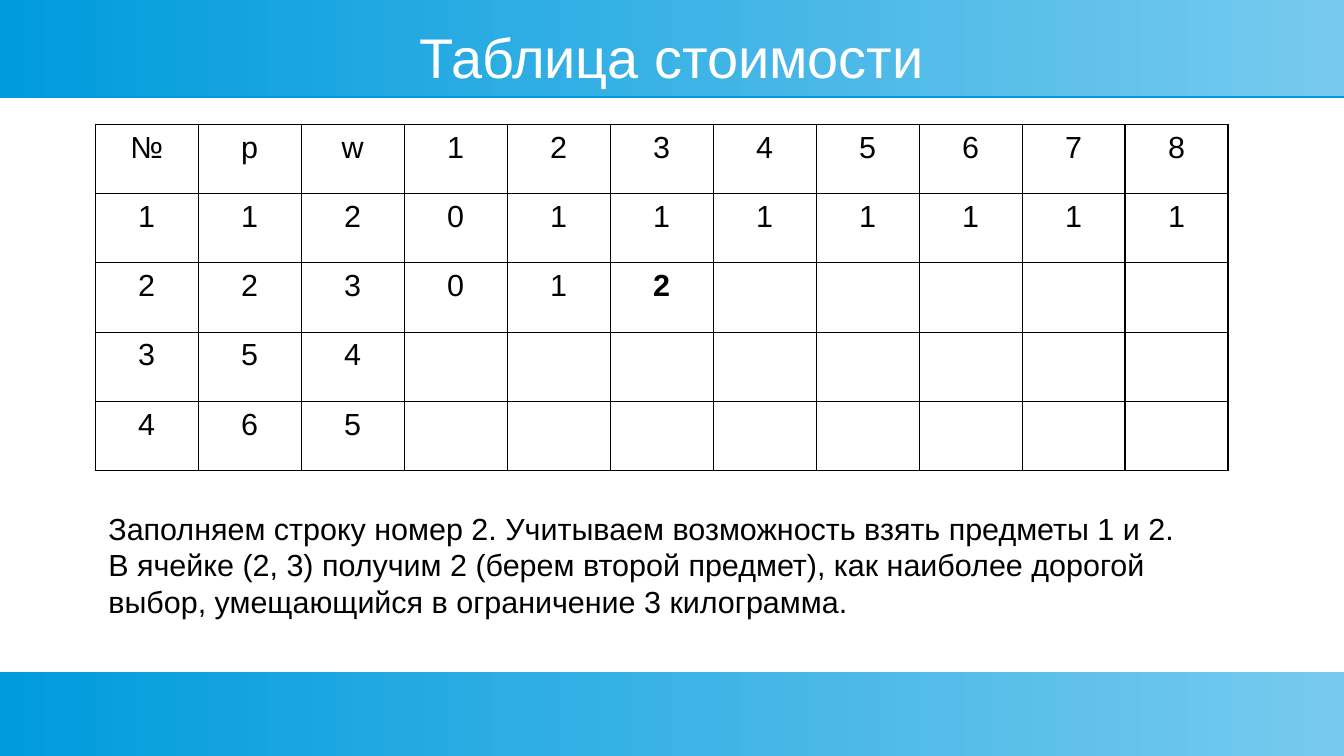
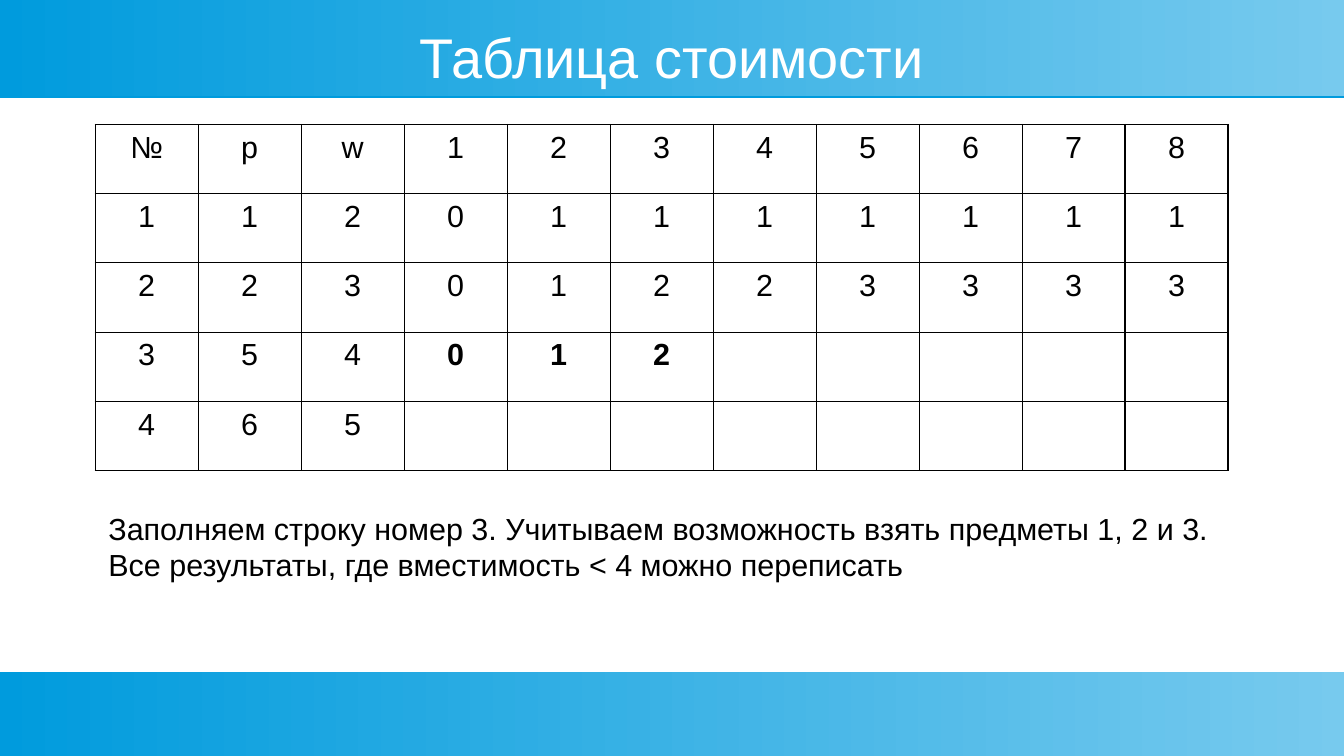
from lxml import etree
from pptx import Presentation
from pptx.dml.color import RGBColor
from pptx.enum.shapes import MSO_SHAPE
from pptx.enum.text import MSO_ANCHOR, PP_ALIGN
from pptx.oxml.ns import qn
from pptx.util import Inches, Pt

RECTANGLE = MSO_SHAPE.RECTANGLE
TOP, MIDDLE = MSO_ANCHOR.TOP, MSO_ANCHOR.MIDDLE
LEFT, CENTER = PP_ALIGN.LEFT, PP_ALIGN.CENTER

BLUE = RGBColor(0x00, 0x9B, 0xDD)
LIGHT_BLUE = RGBColor(0x77, 0xCA, 0xEE)
BLACK = RGBColor(0x00, 0x00, 0x00)
WHITE = RGBColor(0xFF, 0xFF, 0xFF)

FONT = "Arial"
SLIDE_W, SLIDE_H = 11.02, 6.2
BANDS = [(0, 0.79), (5.51, 0.69)]
TITLE = "Таблица стоимости"
CAPACITIES = range(1, 9)
HEADER = ["№", "p", "w", *map(str, CAPACITIES)]
ITEMS = [("1", "2"), ("2", "3"), ("5", "4"), ("6", "5")]
FIRST_COST = len(HEADER) - len(CAPACITIES)

STEPS = [
    {
        "costs": ["01111111", "012", "", ""],
        "new_cells": {(2, 3)},
        "height": 0.94,
        "notes": [
            "Заполняем строку номер 2. Учитываем возможность взять предметы 1 и 2.",
            "В ячейке (2, 3) получим 2 (берем второй предмет), как наиболее дорогой "
            "выбор, умещающийся в ограничение 3 килограмма.",
        ],
    },
    {
        "costs": ["01111111", "01223333", "012", ""],
        "new_cells": {(3, 1), (3, 2), (3, 3)},
        "height": 0.66,
        "notes": [
            "Заполняем строку номер 3. Учитываем возможность взять предметы 1, 2 и 3.",
            "Все результаты, где вместимость < 4 можно переписать",
        ],
    },
]


def write_text(frame, lines, size=18, color=BLACK, bold=False, align=LEFT,
               anchor=TOP, margins=(0.1, 0.05)):
    frame.word_wrap = True
    frame.vertical_anchor = anchor
    frame.margin_left = frame.margin_right = Inches(margins[0])
    frame.margin_top = frame.margin_bottom = Inches(margins[1])
    for index, line in enumerate(lines):
        paragraph = frame.paragraphs[0] if index == 0 else frame.add_paragraph()
        paragraph.alignment = align
        paragraph.font.size = Pt(size)
        run = paragraph.add_run()
        run.text = line
        run.font.name = FONT
        run.font.size = Pt(size)
        run.font.bold = bold
        run.font.color.rgb = color


class Deck:
    """Holds the shared style and the slide being built."""

    def __init__(self):
        self.prs = Presentation()
        self.prs.slide_width = Inches(SLIDE_W)
        self.prs.slide_height = Inches(SLIDE_H)
        self.layout = self.prs.slide_layouts[6]
        self.slide = None

    def add_slide(self):
        first = self.slide is None
        self.slide = self.prs.slides.add_slide(self.layout)
        if first:
            for top, height in BANDS:
                self.add_band(top, height)

    def add_band(self, top, height):
        band = self.slide.shapes.add_shape(
            RECTANGLE, 0, Inches(top), Inches(SLIDE_W), Inches(height))
        band.fill.gradient()
        band.fill.gradient_angle = 180
        for stop, color, position in zip(
                band.fill.gradient_stops, (LIGHT_BLUE, BLUE), (0, 1)):
            stop.color.rgb = color
            stop.position = position
        band.line.fill.background()
        band.shadow.inherit = False
        effects = band.element.spPr.find(qn("a:effectLst"))
        shadow = etree.SubElement(
            effects, qn("a:outerShdw"), blurRad="0", dist=str(Pt(0.9)),
            dir="5400000", algn="ctr", rotWithShape="0")
        etree.SubElement(shadow, qn("a:srgbClr"), val=str(BLUE))
        self.layout.shapes.element.append(band.element)

    def add_text(self, lines, left, top, width, height, **style):
        box = self.slide.shapes.add_textbox(
            Inches(left), Inches(top), Inches(width), Inches(height))
        write_text(box.text_frame, lines, **style)

    def add_table(self, rows, bold_cells, left, top, width, height):
        table = self.slide.shapes.add_table(
            len(rows), len(rows[0]), Inches(left), Inches(top),
            Inches(width), Inches(height)).table
        table.first_row = table.horz_banding = False
        for row_index, row in enumerate(rows):
            for column_index, value in enumerate(row):
                cell = table.cell(row_index, column_index)
                self.add_borders(cell)
                cell.fill.background()
                cell.margin_left = cell.margin_right = Inches(0.04)
                cell.margin_top = cell.margin_bottom = Inches(0.05)
                if value:
                    write_text(cell.text_frame, [value], align=CENTER,
                               margins=(0.04, 0.05),
                               bold=(row_index, column_index) in bold_cells)

    def add_borders(self, cell):
        properties = cell._tc.get_or_add_tcPr()
        for side in "LRTB":
            border = etree.SubElement(
                properties, qn(f"a:ln{side}"), w=str(Pt(0.75)))
            fill = etree.SubElement(border, qn("a:solidFill"))
            etree.SubElement(fill, qn("a:srgbClr"), val=str(BLACK))


def cost_rows(costs):
    rows = [HEADER]
    for number, (item, known) in enumerate(zip(ITEMS, costs), start=1):
        rows.append([str(number), *item, *known.ljust(len(CAPACITIES), "-")])
    return [["" if value == "-" else value for value in row] for row in rows]


def main():
    deck = Deck()
    for step in STEPS:
        deck.add_slide()
        deck.add_text([TITLE], 0.39, 0.2, 10.24, 0.52, size=33, color=WHITE,
                      align=CENTER, anchor=MIDDLE, margins=(0, 0))
        new_cells = {(item, FIRST_COST + capacity - 1)
                     for item, capacity in step["new_cells"]}
        deck.add_table(cost_rows(step["costs"]), new_cells,
                       0.78, 1.02, 9.29, 2.84)
        deck.add_text(step["notes"], 0.79, 4.13, 9.45, step["height"])
    deck.prs.save("out.pptx")


if __name__ == "__main__":
    main()
